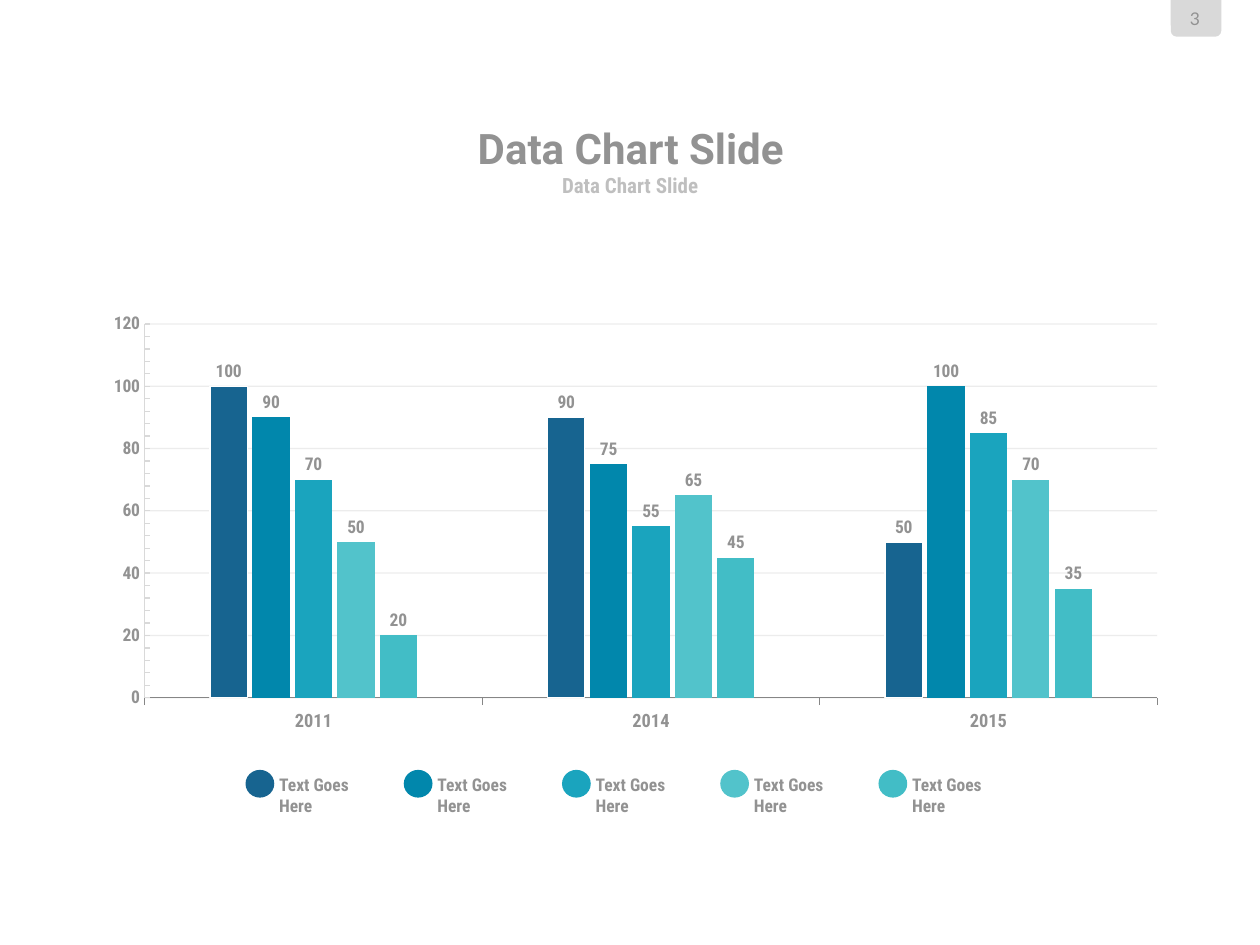
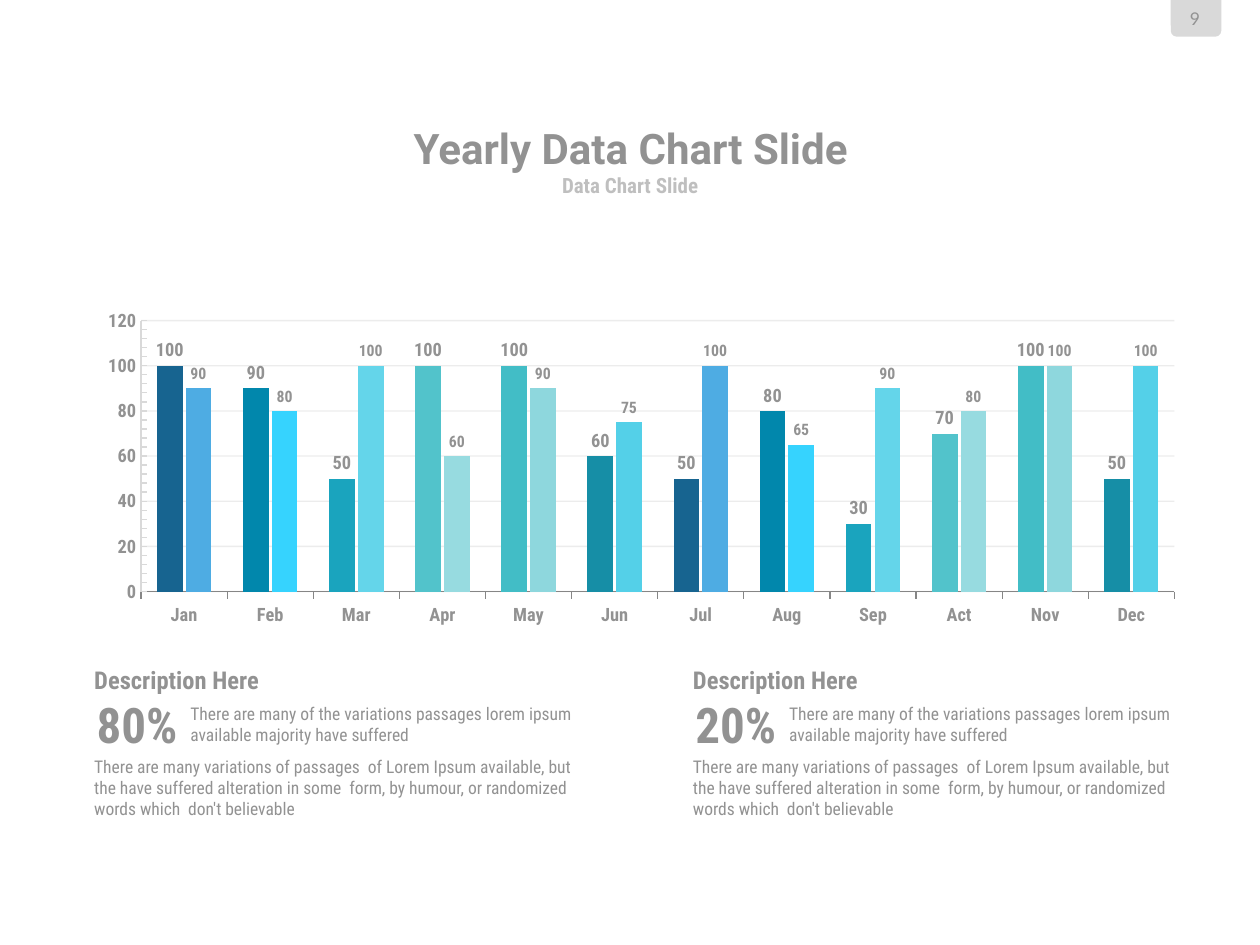
from lxml import etree
from pptx import Presentation
from pptx.chart.data import CategoryChartData
from pptx.dml.color import RGBColor
from pptx.enum.chart import XL_CHART_TYPE, XL_LABEL_POSITION, XL_TICK_MARK
from pptx.enum.shapes import MSO_SHAPE
from pptx.enum.text import MSO_ANCHOR, PP_ALIGN
from pptx.oxml import parse_xml
from pptx.oxml.ns import nsdecls, qn
from pptx.util import Cm, Pt

COLUMN = XL_CHART_TYPE.COLUMN_CLUSTERED
OUTER = XL_LABEL_POSITION.OUTSIDE_END
NONE, INSIDE, OUTSIDE = XL_TICK_MARK.NONE, XL_TICK_MARK.INSIDE, XL_TICK_MARK.OUTSIDE
TAB, DOT = MSO_SHAPE.ROUND_2_SAME_RECTANGLE, MSO_SHAPE.OVAL
TOP, MIDDLE = MSO_ANCHOR.TOP, MSO_ANCHOR.MIDDLE
LEFT, CENTER = PP_ALIGN.LEFT, PP_ALIGN.CENTER

GRAY = RGBColor(0x92, 0x92, 0x92)
PALE = RGBColor(0xBF, 0xBF, 0xBF)
RULE = RGBColor(0xD9, 0xD9, 0xD9)
BASE = RGBColor(0x86, 0x86, 0x86)
WHITE = RGBColor(0xFF, 0xFF, 0xFF)
NAVY = RGBColor(0x17, 0x64, 0x90)
BLUE = RGBColor(0x01, 0x87, 0xAC)
CYAN = RGBColor(0x1A, 0xA4, 0xBE)
AQUA = RGBColor(0x52, 0xC3, 0xCB)
TEAL = RGBColor(0x42, 0xBD, 0xC6)
DEEP = RGBColor(0x16, 0x8E, 0xA6)
DARK = [NAVY, BLUE, CYAN, AQUA, TEAL, DEEP]
LIGHT = [RGBColor.from_string(code) for code in
         ("4EACE3", "36D3FE", "64D5EA", "97DBE0", "8ED7DD", "54D0E8")]
FONT = "Roboto Condensed"
PLOT = {"x": 0.093, "y": 0.046, "w": 0.879, "h": 0.8}


def write(slide, box, text, size, bold=True, color=GRAY, font=FONT,
          align=LEFT, anchor=TOP, wrap=True):
    frame = slide.shapes.add_textbox(*map(Cm, box)).text_frame
    frame.margin_left = frame.margin_right = 0
    frame.margin_top = frame.margin_bottom = 0
    frame.word_wrap, frame.vertical_anchor = wrap, anchor
    para = frame.paragraphs[0]
    para.alignment = align
    run = para.add_run()
    run.text = text
    run.font.size, run.font.bold = Pt(size), bold
    run.font.name, run.font.color.rgb = font, color


def draw(slide, kind, box, fill):
    shape = slide.shapes.add_shape(kind, *map(Cm, box))
    shape.shadow.inherit = False
    shape.fill.solid()
    shape.fill.fore_color.rgb = fill
    shape.line.fill.background()
    return shape


# Each series: values, bar colours, label size
PAGES = [
    {"page": "3", "title": "Data Chart Slide", "box": (0.76, 6.1, 23.22, 9.42),
     "size": 10, "gap": 351, "lap": -14, "edge": True,
     "cats": ["2011", "2014", "2015"],
     "rows": [([100, 90, 50], [NAVY], 10), ([90, 75, 100], [BLUE], 10),
              ([70, 55, 85], [CYAN], 10), ([50, 65, 70], [AQUA], 10),
              ([20, 45, 35], [TEAL], 10)]},
    {"page": "9", "title": "Yearly Data Chart Slide", "box": (0.64, 6.15, 23.7, 6.83),
     "size": 10.5, "gap": 124, "lap": -12, "edge": False,
     "cats": ["Jan", "Feb", "Mar", "Apr", "May", "Jun",
              "Jul", "Aug", "Sep", "Act", "Nov", "Dec"],
     "rows": [([100, 90, 50, 100, 100, 60, 50, 80, 30, 70, 100, 50], DARK, 10.5),
              ([90, 80, 100, 60, 90, 75, 100, 65, 90, 80, 100, 100], LIGHT, 9)]},
]

deck = Presentation()
deck.slide_width, deck.slide_height = Cm(25.4), Cm(19.05)
slides = []

for page in PAGES:
    slide = deck.slides.add_slide(deck.slide_layouts[6])
    slides.append(slide)

    # Page tab and titles
    draw(slide, TAB, (23.6, 0, 1.02, 0.74), RULE).rotation = 180
    write(slide, (23.67, 0.15, 0.84, 0.43), page["page"], 10, bold=False,
          font="Lato", align=CENTER, anchor=MIDDLE)
    write(slide, (4.88, 2.49, 15.67, 0.99), page["title"], 24, font="Roboto",
          align=CENTER, anchor=MIDDLE)
    write(slide, (6.99, 3.45, 11.43, 0.56), "Data Chart Slide", 12, color=PALE,
          align=CENTER, anchor=MIDDLE)

    # Chart
    data = CategoryChartData()
    data.categories = page["cats"]
    for num, row in enumerate(page["rows"], 1):
        data.add_series(f"Series {num}", row[0])
    chart = slide.shapes.add_chart(COLUMN, *map(Cm, page["box"]), data).chart
    chart.has_legend = chart.has_title = False
    chart.font.name, chart.font.size = FONT, Pt(page["size"])
    chart.font.bold, chart.font.color.rgb = True, GRAY

    # Plot area
    area = chart.element.xpath("//c:plotArea")[0]
    for old in area.findall(qn("c:layout")):
        area.remove(old)
    layout = parse_xml(f"<c:layout {nsdecls('c')}><c:manualLayout/></c:layout>")
    marks = {"layoutTarget": "inner", "xMode": "edge", "yMode": "edge", **PLOT}
    for tag, val in marks.items():
        etree.SubElement(layout[0], qn(f"c:{tag}")).set("val", str(val))
    area.insert(0, layout)

    # Axes
    cat, axis = chart.category_axis, chart.value_axis
    cat.major_tick_mark, cat.minor_tick_mark = OUTSIDE, NONE
    cat.tick_labels.font.size = Pt(10.5)
    cat.format.line.color.rgb = BASE
    cat.format.line.width = Pt(0.75)
    axis.minimum_scale, axis.maximum_scale = 0, 120
    axis.major_unit, axis.minor_unit = 20, 4
    axis.major_tick_mark, axis.minor_tick_mark = NONE, INSIDE
    axis.has_major_gridlines = True
    for line in (axis.format.line, axis.major_gridlines.format.line):
        line.color.rgb = RULE
        line.width = Pt(0.75)
    tint = chart.element.xpath("//c:majorGridlines//a:srgbClr")[0]
    etree.SubElement(tint, qn("a:alpha")).set("val", "48000")

    # Bars and labels
    plot = chart.plots[0]
    plot.gap_width, plot.overlap = page["gap"], page["lap"]
    plot.vary_by_categories = False
    for bars, (vals, tones, size) in zip(plot.series, page["rows"]):
        bars.invert_if_negative = False
        bars.format.fill.solid()
        bars.format.fill.fore_color.rgb = tones[0]
        if len(tones) > 1:
            for pos in range(len(vals)):
                fill = bars.points[pos].format.fill
                fill.solid()
                fill.fore_color.rgb = tones[pos % len(tones)]
        tags = bars.data_labels
        tags.show_value, tags.position = True, OUTER
        tags.font.size, tags.font.bold = Pt(size), True
        tags.font.name, tags.font.color.rgb = FONT, GRAY
    if page["edge"]:
        rim = plot.series[0].format.line
        rim.color.rgb = WHITE
        rim.width = Pt(0.75)

# Legend under the first chart
for pos, tone in enumerate(DARK[:5]):
    left = 4.95 + 3.19 * pos
    write(slides[0], (left + 0.68, 15.6, 2, 0.43), "Text Goes Here", 10)
    draw(slides[0], DOT, (left, 15.52, 0.58, 0.56), tone)

# Descriptions under the second chart
LEAD = ("There are many of the variations passages lorem ipsum "
        "available majority have suffered")
BODY = ("There are many variations of passages  of Lorem Ipsum available, but "
        "the have suffered alteration in some  form, by humour, or randomized "
        "words which  don't believable")
for left, share in ((1.9, "80%"), (13.97, "20%")):
    write(slides[1], (left + 1.94, 14.17, 8.36, 0.86), LEAD, 10, bold=False)
    write(slides[1], (left, 13.41, 4.29, 0.61), "Description Here", 14)
    write(slides[1], (left + 0.05, 14, 1.65, 1.19), share, 28, wrap=False)
    write(slides[1], (left, 15.24, 9.73, 1.27), BODY, 10, bold=False)

deck.save("out.pptx")
